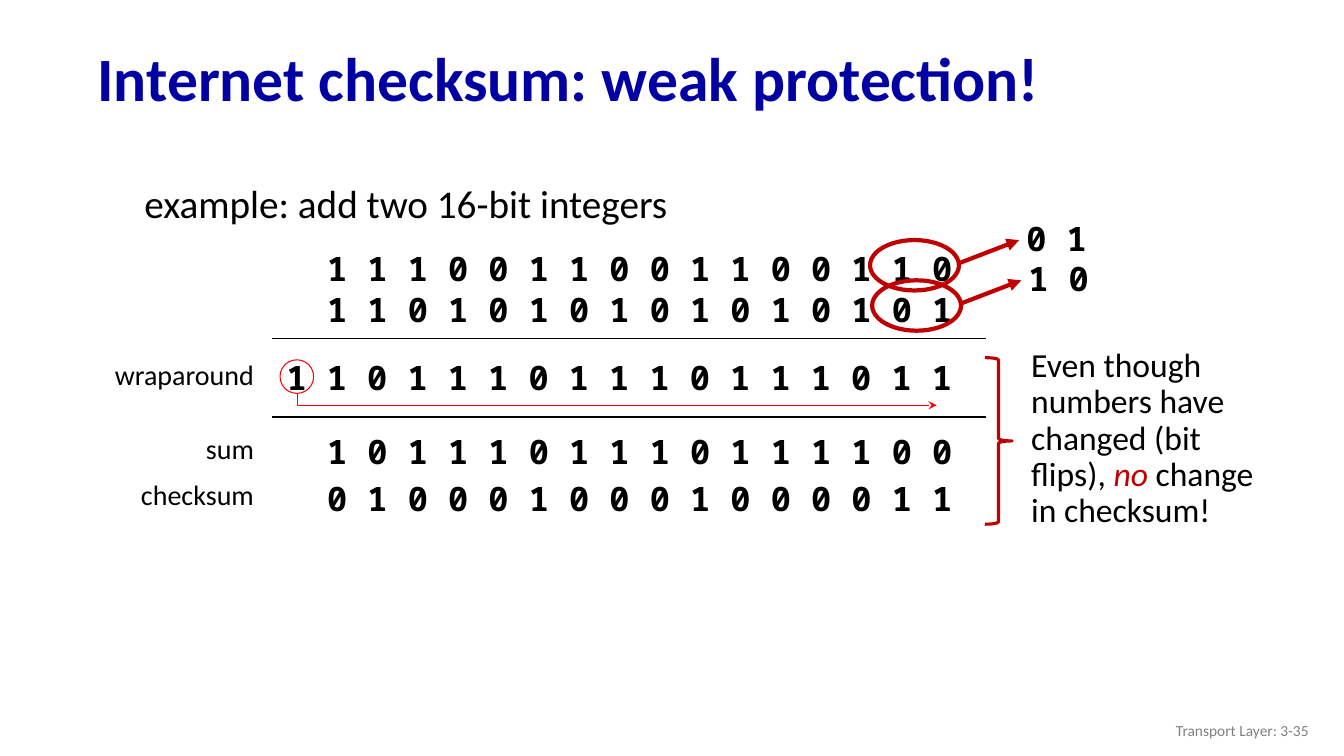
"""Build the slide on the weak protection of the Internet checksum."""
import pptx
import pptx.dml.color
import pptx.enum.shapes
import pptx.enum.text
import pptx.oxml.ns
import pptx.util
from lxml import etree

Pt = pptx.util.Pt
SHAPES = pptx.enum.shapes.MSO_SHAPE
ALIGN = pptx.enum.text.PP_ALIGN
ANCHOR = pptx.enum.text.MSO_ANCHOR

COLORS = {"title": "0000A3", "text": "000000", "accent": "C00000",
          "carry": "FF0000", "footer": "808080"}
SANS, MONO = "Calibri", "Noto Sans Mono"

TITLE = "Internet checksum: weak protection!"
EXAMPLE = "example: add two 16-bit integers"
FOOTER = "Transport Layer: 3-35"
CONCLUSION = [("Even though numbers have changed (bit flips), ", "text"),
              ("no", "accent"), (" change in checksum!", "text")]
BIT_ROWS = [
    ("", "1 1 1 0 0 1 1 0 0 1 1 0 0 1 1 0", 173.5),
    ("", "1 1 0 1 0 1 0 1 0 1 0 1 0 1 0 1", 203),
    ("wraparound", "1 1 0 1 1 1 0 1 1 1 0 1 1 1 0 1 1", 251.5),
    ("sum", "1 0 1 1 1 0 1 1 1 0 1 1 1 1 0 0", 304.5),
    ("checksum", "0 1 0 0 0 1 0 0 0 1 0 0 0 0 1 1", 337.75),
]
FLIPS = ["0 1", "1 0"]

BITS_RIGHT, CHARACTER_WIDTH, INSET = 690.5, 14.5, 7.2
LABEL_LEFT, LABEL_RIGHT = 74, 188.5
RULE_LEFT, RULE_RIGHT, RULE_TOPS = 194.5, 704, (242, 298)
FLIP_LEFT, FLIP_TOP, FLIP_SHIFT, FLIP_STEP = 621.5, 171.5, 1.5, 28.75
OVAL_WIDTH, OVAL_HEIGHT = 63.5, 36
ARROW_WIDTH, ARROW_RISE = 43, 16.5


def color(name):
    return pptx.dml.color.RGBColor.from_string(COLORS[name])


def format_run(run, size, color_name="text", font=SANS, bold=False, italic=False):
    run.font.size, run.font.name = Pt(size), font
    run.font.bold, run.font.italic = bold, italic
    run.font.color.rgb = color(color_name)


def place(shape, left, top, width, height):
    shape.left, shape.top = Pt(left), Pt(top)
    shape.width, shape.height = Pt(width), Pt(height)


def add_text(slide, text, left, top, width, height, size, align=ALIGN.LEFT, **style):
    box = slide.shapes.add_textbox(Pt(left), Pt(top), Pt(width), Pt(height))
    box.text_frame.word_wrap = True
    paragraph = box.text_frame.paragraphs[0]
    paragraph.text, paragraph.alignment = text, align
    for run in paragraph.runs:
        format_run(run, size, **style)
    return box


def add_bits(slide, text, left, top):
    width = len(text) * CHARACTER_WIDTH + 2 * INSET + 4
    add_text(slide, text, left, top, width, 36, 24, font=MONO, bold=True)


def style_line(shape, color_name, width, arrowhead=None):
    shape.line.color.rgb = color(color_name)
    shape.line.width = Pt(width)
    if arrowhead:
        line = shape.line._get_or_add_ln()
        etree.SubElement(line, pptx.oxml.ns.qn("a:tailEnd"), type=arrowhead)


def add_outline(slide, kind, left, top, width, height, color_name, line_width):
    shape = slide.shapes.add_shape(kind, Pt(left), Pt(top), Pt(width), Pt(height))
    shape.shadow.inherit = False
    shape.fill.background()
    style_line(shape, color_name, line_width)


def add_line(slide, start, end, color_name, width, arrowhead=None):
    line = slide.shapes.add_connector(pptx.enum.shapes.MSO_CONNECTOR.STRAIGHT,
                                      *map(Pt, start + end))
    style_line(line, color_name, width, arrowhead)
    etree.SubElement(line._element.spPr, pptx.oxml.ns.qn("a:effectLst"))


def fill_placeholders(slide):
    title, body = slide.shapes.title, slide.placeholders[1]
    place(title, 62.5, 23, 874, 70.5)
    place(body, 96, 114.5, 612, 216)
    for shape, text, spacing in ((title, TITLE, 0.9), (body, EXAMPLE, 1.3)):
        shape.text_frame.text = text
        shape.text_frame.auto_size = pptx.enum.text.MSO_AUTO_SIZE.NONE
        paragraph = shape.text_frame.paragraphs[0]
        paragraph.alignment, paragraph.line_spacing = ALIGN.LEFT, spacing
    title.text_frame.vertical_anchor = ANCHOR.MIDDLE
    format_run(title.text_frame.paragraphs[0].runs[0], 44, "title", bold=True)
    paragraph = body.text_frame.paragraphs[0]
    paragraph.space_before = Pt(10)
    format_run(paragraph.runs[0], 28)
    properties = paragraph._p.get_or_add_pPr()
    properties.set("marL", "0")
    properties.set("indent", "0")
    etree.SubElement(properties, pptx.oxml.ns.qn("a:buNone"))


def add_addition(slide):
    for top in RULE_TOPS:
        add_line(slide, (RULE_RIGHT, top), (RULE_LEFT, top), "text", 1)
    for label, bits, top in BIT_ROWS:
        left = BITS_RIGHT - 2 * INSET - len(bits) * CHARACTER_WIDTH
        add_bits(slide, bits, left, top)
        if label:
            add_text(slide, label, LABEL_LEFT, top, LABEL_RIGHT - LABEL_LEFT, 31.5,
                     20, ALIGN.RIGHT)
    add_outline(slide, SHAPES.OVAL, 200, 257, 24, 24, "carry", 0.75)
    builder = slide.shapes.build_freeform(Pt(212.5), Pt(281.5))
    builder.add_line_segments([(Pt(212.5), Pt(289.5)), (Pt(669), Pt(289.5))], close=False)
    carry = builder.convert_to_shape()
    carry.shadow.inherit = False
    carry.fill.background()
    style_line(carry, "carry", 0.75, "stealth")


def add_flips(slide):
    for index, bits in enumerate(FLIPS):
        left, top = FLIP_LEFT + index * FLIP_SHIFT, FLIP_TOP + index * FLIP_STEP
        add_outline(slide, SHAPES.OVAL, left, top, OVAL_WIDTH, OVAL_HEIGHT, "accent", 3)
        start = (left + OVAL_WIDTH, top + 16.5)
        end = (start[0] + ARROW_WIDTH, start[1] - ARROW_RISE)
        add_line(slide, start, end, "accent", 3, "triangle")
        add_bits(slide, bits, end[0] - 2, end[1] - 19.5)


def add_conclusion(slide):
    add_outline(slide, SHAPES.RIGHT_BRACE, 703.5, 255.5, 19.5, 119, "accent", 2.25)
    box = add_text(slide, "", 729.5, 245.5, 189.5, 138, 24)
    paragraph = box.text_frame.paragraphs[0]
    paragraph.line_spacing = 0.9
    for text, color_name in CONCLUSION:
        run = paragraph.add_run()
        run.text = text
        format_run(run, 24, color_name, italic=color_name == "accent")


def main():
    presentation = pptx.Presentation()
    presentation.slide_width, presentation.slide_height = Pt(960), Pt(540)
    slide = presentation.slides.add_slide(presentation.slide_layouts[1])
    fill_placeholders(slide)
    add_addition(slide)
    add_flips(slide)
    add_conclusion(slide)
    footer = add_text(slide, FOOTER, 726, 507.5, 216, 29, 11, ALIGN.RIGHT,
                      color_name="footer")
    footer.text_frame.vertical_anchor = ANCHOR.MIDDLE
    presentation.save("out.pptx")


if __name__ == "__main__":
    main()
